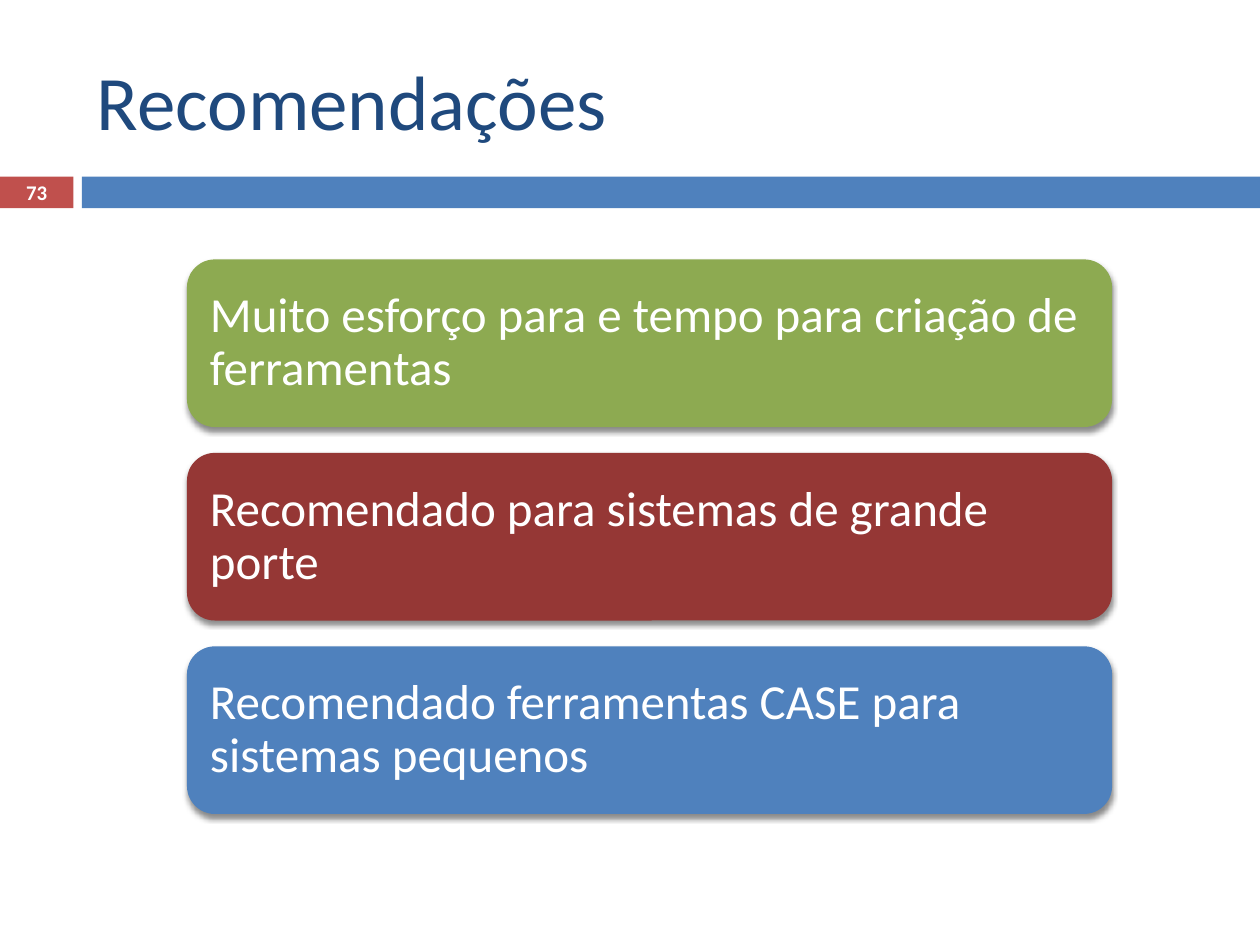
import pptx
import pptx.dml.color
import pptx.enum.shapes
import pptx.enum.text
import pptx.oxml
import pptx.oxml.ns
import pptx.util
from pptx.util import Cm

RGBColor = pptx.dml.color.RGBColor
SHAPES = pptx.enum.shapes.MSO_SHAPE
ALIGN = pptx.enum.text.PP_ALIGN
MIDDLE = pptx.enum.text.MSO_ANCHOR.MIDDLE

NAVY = RGBColor(0x1F, 0x49, 0x7D)
BLUE = RGBColor(0x4F, 0x81, 0xBD)
RED = RGBColor(0xC0, 0x50, 0x4D)
GREEN = RGBColor(0x8D, 0xAA, 0x51)
DARK_RED = RGBColor(0x95, 0x37, 0x35)
WHITE = RGBColor(0xFF, 0xFF, 0xFF)

FONT = "Calibri"
RECOMMENDATIONS = [
    ("Muito esforço para e tempo para criação de ferramentas", GREEN),
    ("Recomendado para sistemas de grande porte", DARK_RED),
    ("Recomendado ferramentas CASE para sistemas pequenos", BLUE),
]
SHADOW_XML = (
    f'<a:effectLst {pptx.oxml.ns.nsdecls("a")}>'
    '<a:outerShdw blurRad="38100" dist="30480" dir="5400000" rotWithShape="0">'
    '<a:srgbClr val="000000"><a:alpha val="45000"/></a:srgbClr>'
    "</a:outerShdw></a:effectLst>"
)


def write_text(frame, text, size, color, align=ALIGN.LEFT, bold=False):
    """Write one vertically centred paragraph and return it."""
    frame.word_wrap = True
    frame.vertical_anchor = MIDDLE
    paragraph = frame.paragraphs[0]
    paragraph.alignment = align
    run = paragraph.add_run()
    run.text = text
    run.font.name = FONT
    run.font.size = pptx.util.Pt(size)
    run.font.bold = bold
    run.font.color.rgb = color
    return paragraph


def add_block(slide, preset, left, top, width, height, color):
    """Add a borderless solid shape without a shadow."""
    block = slide.shapes.add_shape(preset, left, top, width, height)
    block.shadow.inherit = False
    block.fill.solid()
    block.fill.fore_color.rgb = color
    block.line.fill.background()
    return block


def place_title(slide, left, top, width, height, text):
    """Move the title placeholder into the box and fill it."""
    title = slide.shapes.title
    title.left, title.top, title.width, title.height = left, top, width, height
    write_text(title.text_frame, text, 44, NAVY)


def add_number_band(slide, left, top, width, height, number):
    """Add the slide number marker and the bar that follows it."""
    marker_width, gap = Cm(1.48), Cm(0.17)
    marker = add_block(slide, SHAPES.RECTANGLE, left, top, marker_width, height, RED)
    frame = marker.text_frame
    frame.margin_top = frame.margin_bottom = 0
    write_text(frame, number, 11.9, WHITE, ALIGN.CENTER, True)
    bar_offset = marker_width + gap
    add_block(slide, SHAPES.RECTANGLE, left + bar_offset, top,
              width - bar_offset, height, BLUE)


def add_recommendations(slide, left, top, width, height, recommendations):
    """Stack one shadowed card per recommendation with equal gaps."""
    gap = Cm(0.52)
    count = len(recommendations)
    card_height = (height - gap * (count - 1)) // count
    for index, (text, color) in enumerate(recommendations):
        card_top = top + index * (card_height + gap)
        card = add_block(slide, SHAPES.ROUNDED_RECTANGLE, left, card_top,
                         width, card_height, color)
        properties = card.element.spPr
        properties.remove(properties.find(pptx.oxml.ns.qn("a:effectLst")))
        properties.append(pptx.oxml.parse_xml(SHADOW_XML))
        frame = card.text_frame
        frame.margin_left = frame.margin_right = Cm(0.3)
        frame.margin_top = frame.margin_bottom = Cm(0.3)
        write_text(frame, text, 28, WHITE).line_spacing = 0.9


def main():
    """Build and save the slide."""
    deck = pptx.Presentation()
    deck.slide_width, deck.slide_height = Cm(25.4), Cm(19.05)
    slide = deck.slides.add_slide(deck.slide_layouts[5])
    add_number_band(slide, 0, Cm(3.56), deck.slide_width, Cm(0.64), "73")
    place_title(slide, Cm(1.7), Cm(0.64), Cm(22.66), Cm(2.74), "Recomendações")
    add_recommendations(slide, Cm(3.77), Cm(5.23), Cm(18.65), Cm(11.18),
                        RECOMMENDATIONS)
    deck.save("out.pptx")


if __name__ == "__main__":
    main()
